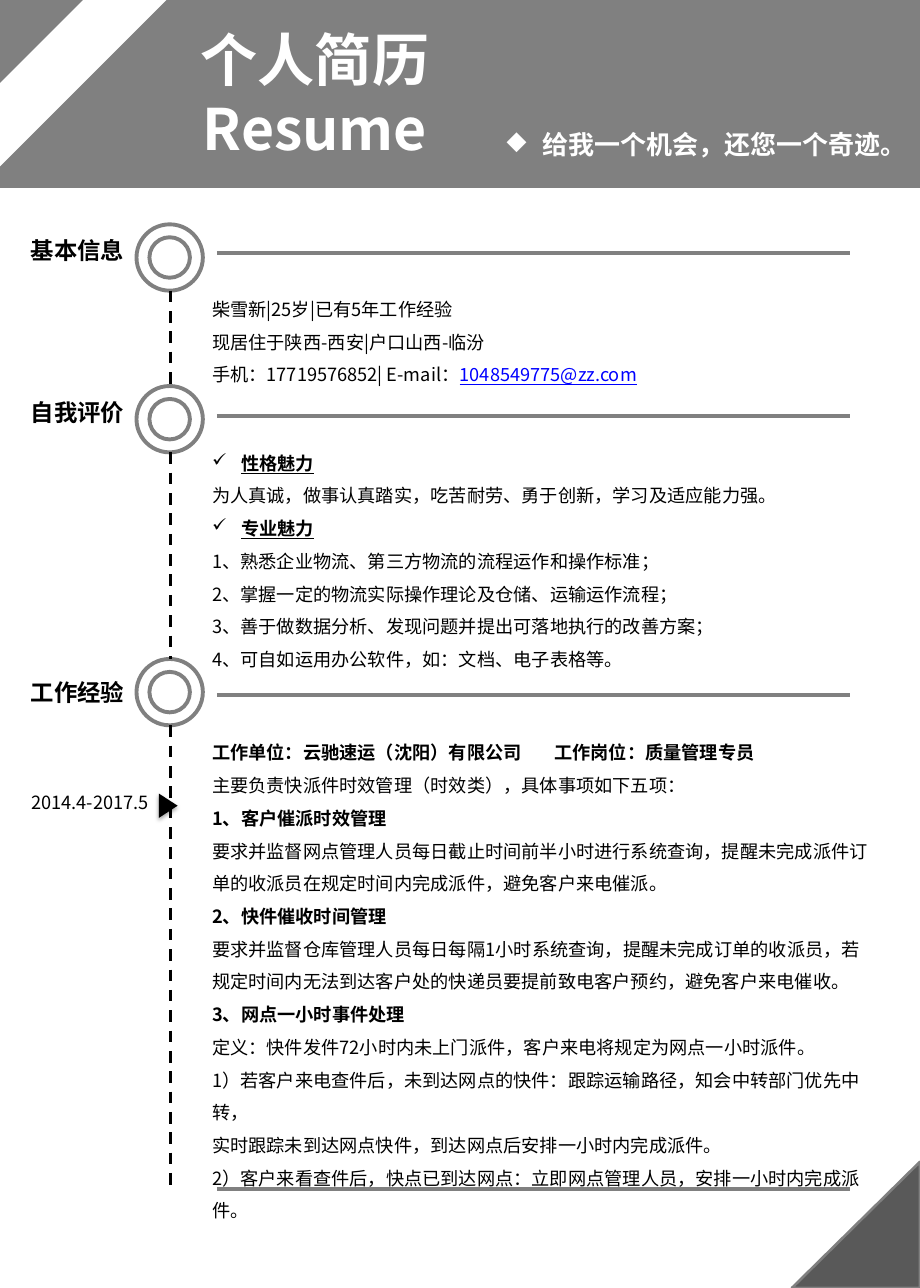
"""Build a one-page resume with a grey header and a dashed timeline."""
from lxml.etree import SubElement as Sub
from pptx import Presentation
from pptx.dml.color import RGBColor
from pptx.enum.dml import MSO_LINE as Dash
from pptx.enum.shapes import MSO_CONNECTOR as Conn, MSO_SHAPE as Form
from pptx.enum.text import MSO_ANCHOR as Anchor, PP_ALIGN as Align
from pptx.oxml.ns import qn
from pptx.util import Inches, Pt

GREY = RGBColor(0x80, 0x80, 0x80)
DARK = RGBColor(0x59, 0x59, 0x59)
BLACK = RGBColor(0, 0, 0)
WHITE = RGBColor(255, 255, 255)
BLUE = RGBColor(0, 0, 255)
FONT = "Noto Sans CJK JP"
LINK = "Noto Sans CJK SC"

deck = Presentation()
deck.slide_width, deck.slide_height = Inches(9.84), Inches(13.78)
slide = deck.slides.add_slide(deck.slide_layouts[6])
page = slide.shapes


def add_text(home, spot, paras, size, color=BLACK, align=None, space=None,
             anchor=Anchor.MIDDLE, indent=0.31, tab=None):
    """Write paragraphs of (bullet, runs); run styles are b, u and l for link."""
    frame = home.add_textbox(*map(Inches, spot)).text_frame
    frame.word_wrap = True
    frame.vertical_anchor = anchor
    for i, (mark, runs) in enumerate(paras):
        para = frame.add_paragraph() if i else frame.paragraphs[0]
        para.alignment, para.line_spacing = align, space
        props = para._p.get_or_add_pPr()
        if mark:
            props.set("marL", str(Inches(indent)))
            props.set("indent", str(-Inches(indent)))
            Sub(props, qn("a:buChar"), char=mark)
        if tab:
            stops = Sub(props, qn("a:tabLst"))
            Sub(stops, qn("a:tab"), pos=str(Inches(tab)), algn="l")
        for words, style in runs:
            for n, part in enumerate(words.split("\n")):
                if n:
                    para.add_line_break()
                if not part:
                    continue
                run = para.add_run()
                run.text = part
                font = run.font
                font.size = Pt(size)
                font.bold = "b" in style
                font.underline = "u" in style
                font.color.rgb = BLUE if "l" in style else color
                font.name = LINK if "l" in style else FONT
                Sub(run._r.rPr, qn("a:ea"), typeface=font.name)


def add_form(home, form, spot, fill=None, line=None, width=3):
    """Add a preset shape with a plain fill and outline."""
    shape = home.add_shape(form, *map(Inches, spot))
    shape.shadow.inherit = False
    if fill is None:
        shape.fill.background()
    else:
        shape.fill.solid()
        shape.fill.fore_color.rgb = fill
    if line is None:
        shape.line.fill.background()
    else:
        shape.line.color.rgb = line
        shape.line.width = Pt(width)
    return shape


RING, MID, END = 0.71, 1.82, 12.72
tops = [2.4, 4.13, 7.05]
lines = [(2.32, y, 9.09, y, GREY, 3, None) for y in (2.71, 4.45, 7.44, END)]
for top, stop in zip(tops, tops[1:] + [END]):
    ring = add_form(page, Form.DONUT, (1.46, top, RING, RING), line=GREY)
    ring.adjustments[0] = 0.195
    lines.append((MID, top + RING, MID, stop, BLACK, 2.25, Dash.DASH))
for *ends, color, width, dash in lines:
    link = page.add_connector(Conn.STRAIGHT, *map(Inches, ends))
    link.line.color.rgb = color
    link.line.width = Pt(width)
    link.line.dash_style = dash
    Sub(link._element.spPr, qn("a:effectLst"))

fold = add_form(page, Form.RIGHT_TRIANGLE, (8.47, 12.43, 1.37, 1.35), DARK, GREY, 2)
fold._element.spPr.xfrm.set("flipH", "1")

arrow = add_form(page, Form.FLOWCHART_MERGE, (1.67, 8.52, 0.26, 0.2), BLACK)
arrow.rotation = 270
glow = Sub(arrow._element.spPr.find(qn("a:effectLst")), qn("a:outerShdw"),
           blurRad=str(Pt(3.1)), dist=str(Pt(1.8)), dir="5400000", rotWithShape="0")
tint = Sub(glow, qn("a:srgbClr"), val=str(BLACK))
Sub(tint, qn("a:alpha"), val="35000")

head = page.add_group_shape().shapes
add_form(head, Form.RECTANGLE, (0, 0, 9.84, 2.01), GREY)
add_form(head, Form.DIAGONAL_STRIPE, (0, 0, 1.78, 1.78), WHITE)
add_text(head, (1.7, 0.28, 3.34, 1.43), [("", [("个人简历Resume", "b")])],
         44, WHITE, Align.CENTER)
add_text(head, (5.32, 0.89, 4.31, 0.96), [("◆", [("给我一个机会，还您一个奇迹。", "b")])],
         20, WHITE, space=2, indent=0.38)

for title, top in (("基本信息", 2.4), ("自我评价", 4.13), ("工作经验", 7.13)):
    add_text(page, (0.2, top, 1.26, 0.56), [("", [(title, "b")])], 18, align=Align.CENTER)
add_text(page, (0.16, 8.3, 1.61, 0.56), [("", [("2014.4-2017.5", "")])],
         14, align=Align.CENTER)

basics = [
    ("", [("柴雪新|25岁|已有5年工作经验", "")]),
    ("", [("现居住于陕西-西安|户口山西-临汾\n手机：17719576852| E-mail：", ""),
          ("1048549775@zz.com", "ul")]),
]
traits = [
    ("✓", [("性格魅力", "bu")]),
    ("", [("为人真诚，做事认真踏实，吃苦耐劳、勇于创新，学习及适应能力强。", "")]),
    ("✓", [("专业魅力", "bu")]),
    ("", [("1、熟悉企业物流、第三方物流的流程运作和操作标准；\n"
           "2、掌握一定的物流实际操作理论及仓储、运输运作流程；\n"
           "3、善于做数据分析、发现问题并提出可落地执行的改善方案；", "")]),
    ("", [("4、可自如运用办公软件，如：文档、电子表格等。", "")]),
]
duties = [
    ("", [("工作单位：云驰速运（沈阳）有限公司\t工作岗位：质量管理专员", "b")]),
    ("", [("主要负责快派件时效管理（时效类），具体事项如下五项：\n", ""),
          ("1、客户催派时效管理\n", "b"),
          ("要求并监督网点管理人员每日截止时间前半小时进行系统查询，提醒未完成派件订单的"
           "收派员在规定时间内完成派件，避免客户来电催派。\n", ""),
          ("2、快件催收时间管理\n", "b"),
          ("要求并监督仓库管理人员每日每隔1小时系统查询，提醒未完成订单的收派员，若规定"
           "时间内无法到达客户处的快递员要提前致电客户预约，避免客户来电催收。\n", ""),
          ("3、网点一小时事件处理\n", "b"),
          ("定义：快件发件72小时内未上门派件，客户来电将规定为网点一小时派件。\n"
           "1）若客户来电查件后，未到达网点的快件：跟踪运输路径，知会中转部门优先中转，\n"
           "实时跟踪未到达网点快件，到达网点后安排一小时内完成派件。", "")]),
    ("", [("2）客户来看查件后，快点已到达网点：立即网点管理人员，安排一小时内完成派件。", "")]),
]
add_text(page, (2.17, 2.83, 7.08, 1.54), basics, 14, space=1.5)
add_text(page, (2.17, 4.45, 7.08, 2.99), traits, 14, space=1.5)
add_text(page, (2.17, 7.77, 7.3, 4.95), duties, 14, space=1.5, anchor=Anchor.TOP, tab=3.66)

deck.save("out.pptx")
